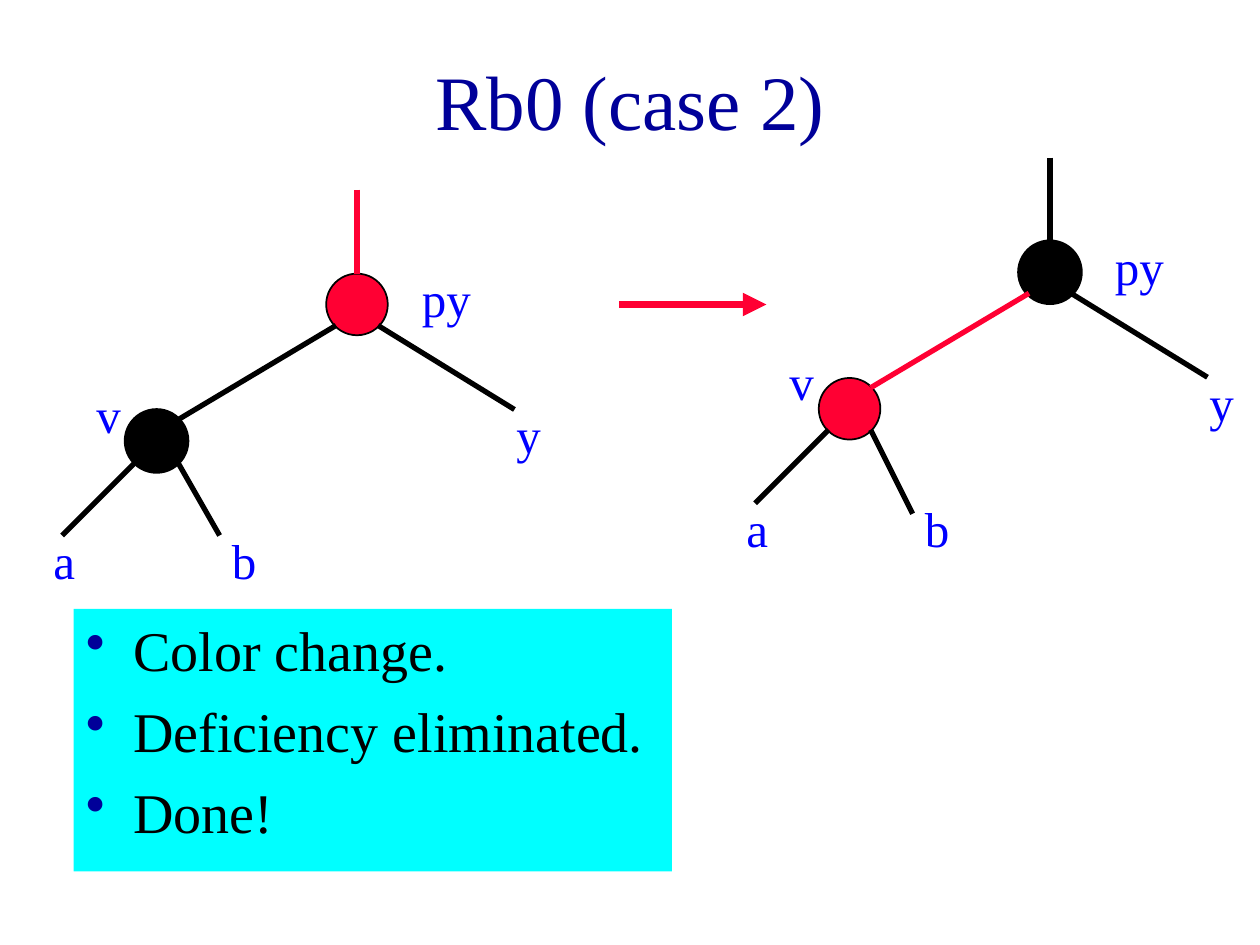
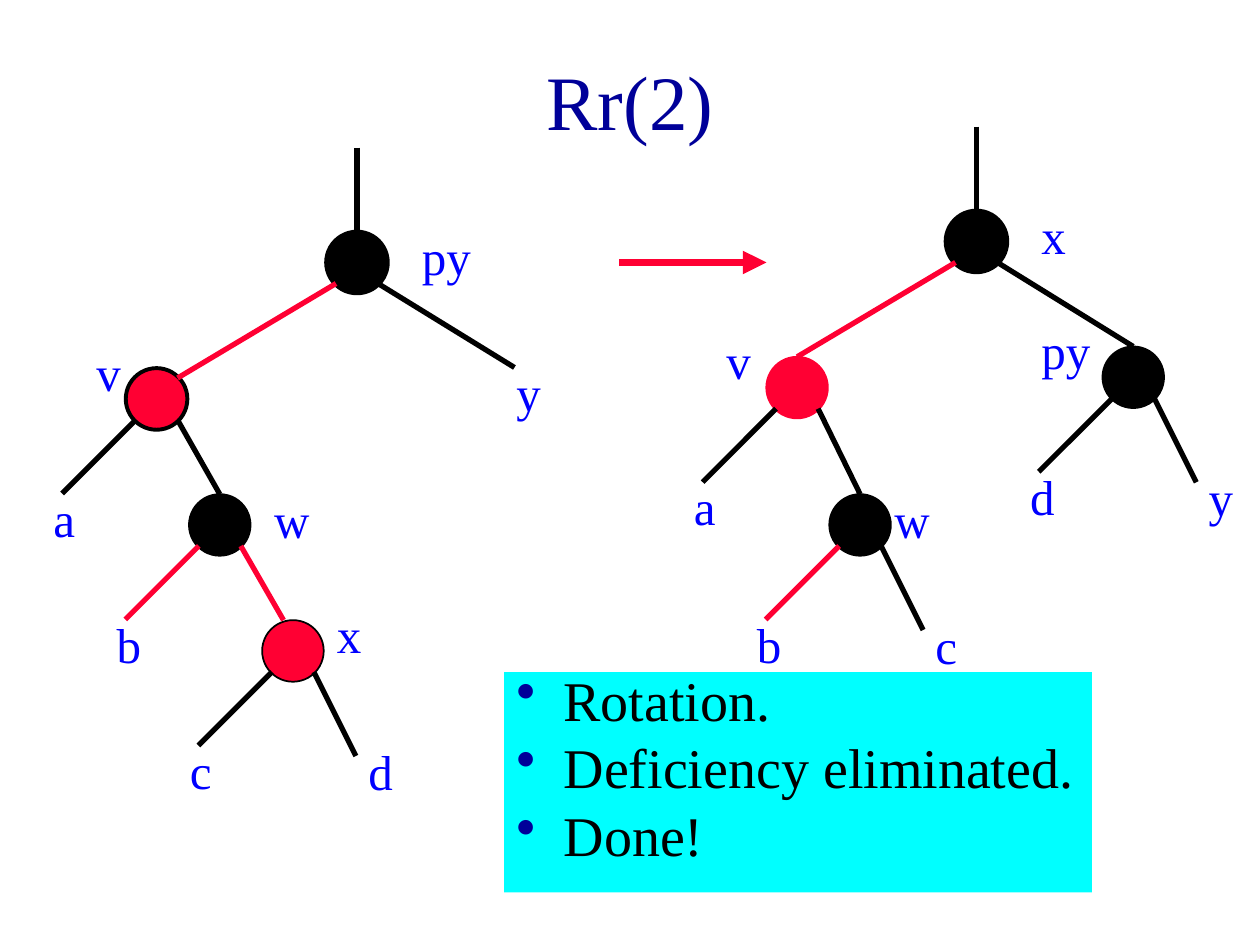
from lxml import etree
from pptx import Presentation
from pptx.dml.color import RGBColor
from pptx.enum.shapes import MSO_CONNECTOR, MSO_SHAPE
from pptx.enum.text import MSO_ANCHOR, MSO_AUTO_SIZE as AUTO_SIZE, PP_ALIGN
from pptx.oxml.ns import qn
from pptx.util import Pt

FONT = "Times New Roman"
NAVY, BLUE, CYAN = "000099", "0000FF", "00FFFF"
RED, BLACK = "FF0033", "000000"

RADIUS = 17.6
DIAGONAL = 12  # offset from a node's centre to its diagonal rim points
STEM = 48
LEFT, RIGHT = -1, 1

# side, run of the edge (dx, dy), shift of the label from the edge's end
LEAVES = {
    "left": (LEFT, 42, (-12, -6.5)),
    "right": (RIGHT, 48, (0, -12)),
    "steep": (RIGHT, 42, (0, -6.5)),
    "wide": (RIGHT, 48, (-6, -6.5)),
}
LEAF_RUN = {"left": -42, "right": 24, "steep": 24, "wide": 78}


def color(hex_code):
    return RGBColor.from_string(hex_code)


def style_paragraph(paragraph, size, hex_code):
    for run in paragraph.runs:
        run.font.name = FONT
        run.font.size = Pt(size)
        run.font.color.rgb = color(hex_code)


def add_bullet(paragraph):
    props = paragraph._p.get_or_add_pPr()
    props.set("marL", str(Pt(27)))
    props.set("indent", str(-Pt(27)))
    bullet_color = etree.SubElement(props, qn("a:buClr"))
    etree.SubElement(bullet_color, qn("a:srgbClr")).set("val", NAVY)
    etree.SubElement(props, qn("a:buChar")).set("char", "•")


def add_titled_slide(prs, heading):
    slide = prs.slides.add_slide(prs.slide_layouts[5])
    title = slide.shapes.title
    title.left, title.top, title.width, title.height = Pt(54), Pt(12), Pt(612), Pt(90)
    frame = title.text_frame
    frame.text = heading
    frame.auto_size = AUTO_SIZE.NONE
    frame.vertical_anchor = MSO_ANCHOR.MIDDLE
    frame.paragraphs[0].alignment = PP_ALIGN.CENTER
    style_paragraph(frame.paragraphs[0], 44, NAVY)
    return slide


def add_summary(slide, left, top, width, height, points, line_spacing=1.0):
    panel = slide.shapes.add_textbox(Pt(left), Pt(top), Pt(width), Pt(height))
    panel.fill.solid()
    panel.fill.fore_color.rgb = color(CYAN)
    frame = panel.text_frame
    frame.word_wrap = True
    frame.text = "\n".join(points)
    for index, paragraph in enumerate(frame.paragraphs):
        paragraph.line_spacing = line_spacing
        paragraph.space_before = Pt(8 if index else 0)
        add_bullet(paragraph)
        style_paragraph(paragraph, 32, BLACK)


def add_line(slide, start, end, hex_code, weight=3):
    line = slide.shapes.add_connector(
        MSO_CONNECTOR.STRAIGHT, *(Pt(value) for value in (*start, *end)))
    line.line.color.rgb = color(hex_code)
    line.line.width = Pt(weight)
    etree.SubElement(line._element.spPr, qn("a:effectLst"))
    return line


def add_step_arrow(slide, y):
    arrow = add_line(slide, (354, y), (438, y), RED, 4.5)
    tail = etree.SubElement(arrow.line._get_or_add_ln(), qn("a:tailEnd"))
    tail.set("type", "triangle")


def add_label(slide, name, x, y):
    width = 36 if len(name) == 1 else 60
    label = slide.shapes.add_textbox(Pt(x), Pt(y), Pt(width), Pt(41))
    frame = label.text_frame
    frame.word_wrap = True
    frame.auto_size = AUTO_SIZE.SHAPE_TO_FIT_TEXT
    frame.text = name
    style_paragraph(frame.paragraphs[0], 28, BLUE)


def center_of(node):
    return ((node.left + node.width / 2) / Pt(1),
            (node.top + node.height / 2) / Pt(1))


def below(node, side):
    """Point where an edge leaves the node towards a child."""
    x, y = center_of(node)
    return x + side * DIAGONAL, y + DIAGONAL


def add_node(slide, name, x, y, fill, label_shift, outline=BLACK, weight=1):
    node = slide.shapes.add_shape(
        MSO_SHAPE.OVAL, Pt(x - RADIUS), Pt(y - RADIUS), Pt(2 * RADIUS), Pt(2 * RADIUS))
    node.shadow.inherit = False
    node.fill.solid()
    node.fill.fore_color.rgb = color(fill)
    node.line.color.rgb = color(outline)
    node.line.width = Pt(weight)
    add_label(slide, name, x + label_shift[0], y + label_shift[1])
    return node


def add_root(slide, name, x, y, fill, weight=2.25):
    """Node with a stem of its own colour above it."""
    root = add_node(slide, name, x, y, fill, (30, -24), weight=weight)
    top = y - RADIUS
    stem = add_line(slide, (x, top - STEM), (x, top), fill)
    stem.end_connect(root, 0)
    return root


def add_top_edge(slide, parent, side, child, hex_code):
    x, y = center_of(child)
    edge = add_line(slide, below(parent, side), (x, y - RADIUS), hex_code)
    edge.end_connect(child, 0)


def add_slanted_edge(slide, parent, side, child, hex_code, shift):
    x, y = center_of(child)
    add_line(slide, below(parent, side), (x + shift[0], y + shift[1]), hex_code)


def add_leaf(slide, parent, kind, name, hex_code=BLACK):
    side, drop, shift = LEAVES[kind]
    x, y = below(parent, side)
    end_x, end_y = x + LEAF_RUN[kind], y + drop
    add_line(slide, (x, y), (end_x, end_y), hex_code)
    add_label(slide, name, end_x + shift[0], end_y + shift[1])


def add_py_tree(slide, x, y, py_fill, py_weight, v_fill, v_weight):
    """Root py with the leaf y and the child v, which gets the leaf a."""
    py = add_root(slide, "py", x, y, py_fill, py_weight)
    v = add_node(slide, "v", x - 114.5, y + 78, v_fill, (-41.5, -36), weight=v_weight)
    add_slanted_edge(slide, py, LEFT, v, v_fill, (DIAGONAL, -DIAGONAL))
    add_leaf(slide, py, "wide", "y")
    add_leaf(slide, v, "left", "a")
    return v


def build_color_change(prs):
    slide = add_titled_slide(prs, "Rb0 (case 2)")
    add_summary(slide, 42, 348, 342, 150,
                ["Color change.", "Deficiency eliminated.", "Done!"])
    v_before = add_py_tree(slide, 204, 174, RED, 1, BLACK, 2.25)
    add_leaf(slide, v_before, "steep", "b")
    v_after = add_py_tree(slide, 600, 155.6, BLACK, 2.25, RED, 1)
    add_leaf(slide, v_after, "right", "b")
    add_step_arrow(slide, 174)


def build_rotation(prs):
    slide = add_titled_slide(prs, "Rr(2)")
    add_summary(slide, 288, 384, 336, 126,
                ["Rotation.", "Deficiency eliminated.", "Done!"], 0.8)
    add_step_arrow(slide, 150)

    v = add_py_tree(slide, 204, 150, BLACK, 2.25, RED, 2.25)
    w = add_node(slide, "w", 125.6, 300, BLACK, (24, -24))
    add_top_edge(slide, v, RIGHT, w, BLACK)
    add_leaf(slide, w, "left", "b", RED)
    x = add_node(slide, "x", 167.4, 372, RED, (18, -30))
    add_slanted_edge(slide, w, RIGHT, x, RED, (-5.4, -RADIUS))
    add_leaf(slide, x, "left", "c")
    add_leaf(slide, x, "right", "d")

    x = add_root(slide, "x", 558, 138, BLACK)
    py = add_node(slide, "py", 647.6, 215.6, BLACK, (-59.6, -36))
    add_top_edge(slide, x, RIGHT, py, BLACK)
    add_leaf(slide, py, "left", "d")
    add_leaf(slide, py, "right", "y")
    v = add_node(slide, "v", 455.5, 221.5, RED, (-47.5, -36), outline=RED)
    add_top_edge(slide, x, LEFT, v, RED)
    add_leaf(slide, v, "left", "a")
    w = add_node(slide, "w", 491.5, 300, BLACK, (12.5, -24))
    add_top_edge(slide, v, RIGHT, w, BLACK)
    add_leaf(slide, w, "left", "b", RED)
    add_leaf(slide, w, "right", "c")


def main():
    prs = Presentation()
    prs.slide_width, prs.slide_height = Pt(720), Pt(540)
    build_color_change(prs)
    build_rotation(prs)
    prs.save("out.pptx")


if __name__ == "__main__":
    main()
